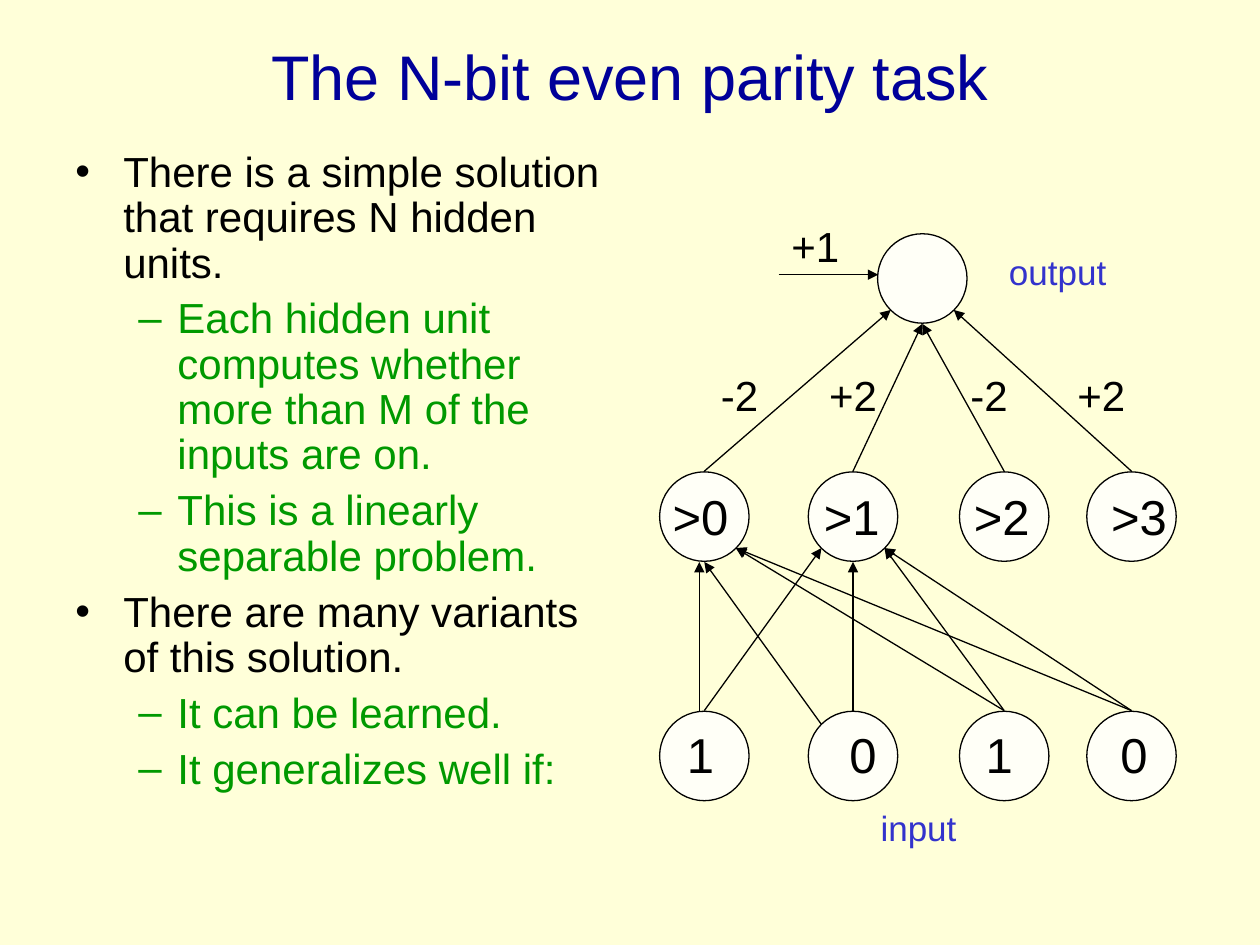
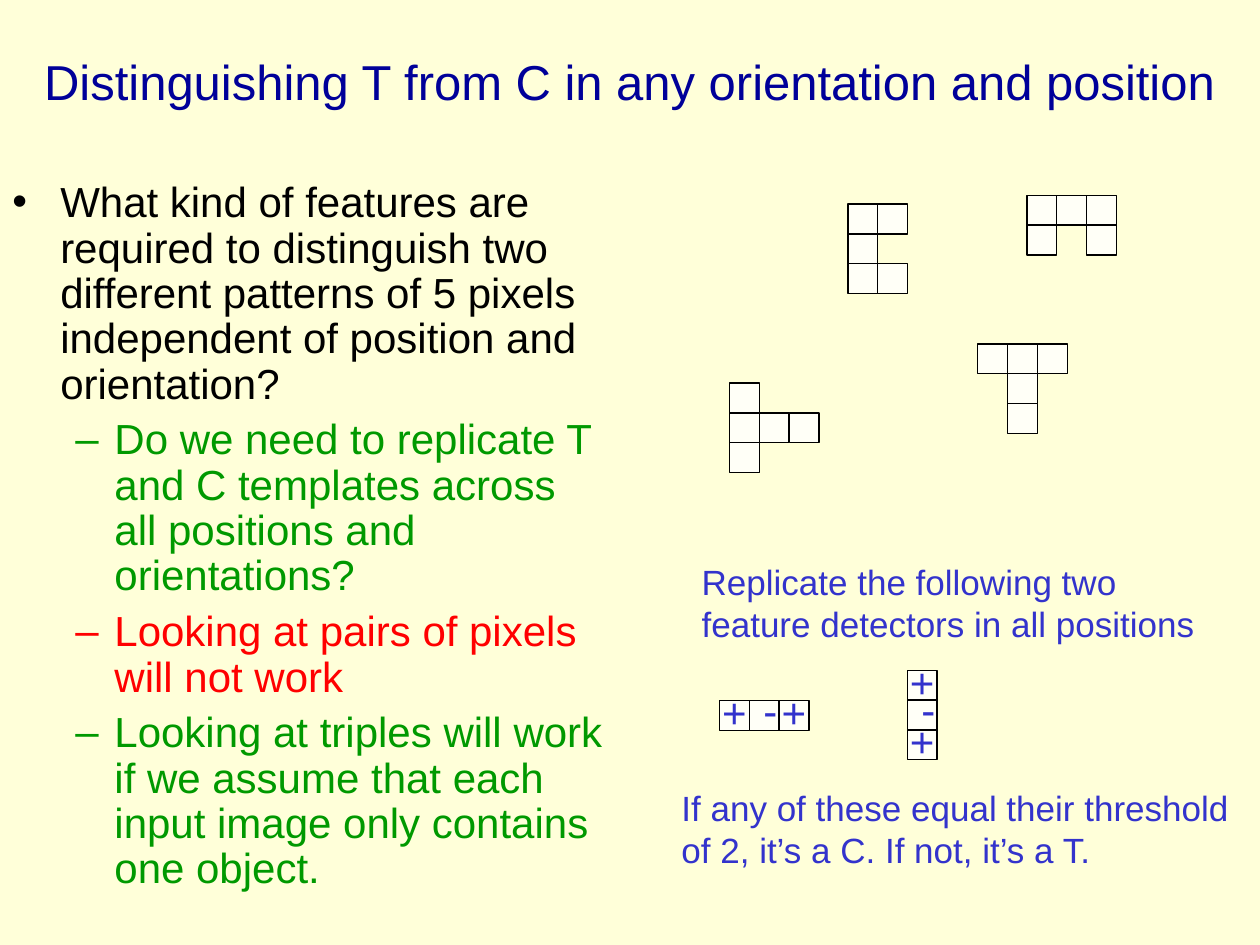
from dataclasses import dataclass

from lxml.etree import SubElement
from pptx import Presentation
from pptx.dml.color import RGBColor
from pptx.enum.shapes import MSO_CONNECTOR, MSO_SHAPE
from pptx.enum.text import MSO_ANCHOR, MSO_AUTO_SIZE, PP_ALIGN
from pptx.oxml.ns import qn
from pptx.util import Inches, Pt


@dataclass(frozen=True)
class Theme:
    font: str = "Arial"
    back: str = "FFFFD9"
    cell: str = "FFFFF7"
    ink: str = "000000"
    title: str = "000099"
    sub: str = "009900"
    alert: str = "FF0000"
    note: str = "3333CC"
    large: int = 36
    mid: int = 28
    body: int = 24
    small: int = 20
    rule: float = 0.75


THEME = Theme()

PARITY = {
    "title": "The N-bit even parity task",
    "spot": (0.5, -0.03, 9, 1.25),
    "size": THEME.large,
    "area": (0.5, 1.15, 4.42, 5.55),
    "points": [
        (0, "There is a simple solution that requires N hidden units.", THEME.ink),
        (1, "Each hidden unit computes whether more than M of the inputs are on.", THEME.sub),
        (1, "This is a linearly separable problem.", THEME.sub),
        (0, "There are many variants of this solution.", THEME.ink),
        (1, "It can be learned.", THEME.sub),
        (1, "It generalizes well if:", THEME.sub),
    ],
}
SHAPES = {
    "title": "Distinguishing T from C in any orientation and position",
    "spot": (-0.05, 0.3, 10.09, 0.69),
    "size": THEME.mid,
    "area": (0, 1.39, 4.92, 6.11),
    "points": [
        (0, "What kind of features are required to distinguish two different patterns "
            "of 5 pixels independent of position and orientation?", THEME.ink),
        (1, "Do we need to replicate T and C templates across all positions "
            "and orientations?", THEME.sub),
        (1, "Looking at pairs of pixels will not work", THEME.alert),
        (1, "Looking at triples will work if we assume that each input image "
            "only contains one object.", THEME.sub),
    ],
}
BULLETS = [("•", 0.38, -0.38), ("–", 0.81, -0.31)]

UNIT = 0.71
COLUMNS = [5.59, 6.77, 7.97, 8.98]
HIDDEN, INPUT, OUTPUT = 4.1, 6.0, (7.32, 2.21)
PORTS = {
    "top": (0, -0.36), "low": (0, 0.36),
    "top left": (-0.04, -0.36), "low left": (-0.04, 0.36),
    "nw": (-0.25, -0.25), "sw": (-0.25, 0.25), "se": (0.25, 0.25),
}
FEEDS = [
    (0, "top left", 0, "low left"), (1, "nw", 0, "low"),
    (2, "top", 0, "se"), (3, "top", 0, "se"),
    (0, "top", 1, "sw"), (1, "top", 1, "low"),
    (2, "top", 1, "se"), (3, "top", 1, "se"),
]
VOTES = ["sw", "low", "low", "se"]
LABELS = [
    (THEME.mid, 3.81, [(">0", 5.56), (">1", 6.76), (">2", 7.95), (">3", 9.04)]),
    (THEME.body, 2.88, [("-2", 5.87), ("+2", 6.77), ("-2", 7.85), ("+2", 8.74)]),
    (THEME.body, 1.7, [("+1", 6.47)]),
    (THEME.mid, 5.7, [("1", 5.56), ("0", 6.85), ("1", 7.93), ("0", 9.0)]),
]
NAMES = [("output", 7.91, 1.94), ("input", 6.89, 6.35)]

STEP = UNIT / 3
GLYPHS = [
    (6.73, 1.62, ["##", "#.", "##"]),
    (8.15, 1.55, ["###", "#.#"]),
    (7.76, 2.73, ["###", ".#.", ".#."]),
    (5.79, 3.04, ["#..", "###", "#.."]),
    (5.71, 5.56, ["+-+"]),
    (7.2, 5.32, ["+", "-", "+"]),
]
SIGNS = {"+": (0, -0.16), "-": (0.05, -0.18)}
NOTES = [
    ("Replicate the following two feature detectors in all positions", 5.47, 4.4, 4.18),
    ("If any of these equal their threshold of 2, it’s a C. If not, it’s a T.", 5.31, 6.19, 4.71),
]


def tint(code):
    return RGBColor.from_string(code)


def box(area):
    return [Inches(v) for v in area]


def write(par, words, size=THEME.body, color=THEME.ink, align=PP_ALIGN.LEFT):
    run = par.add_run()
    run.text = words
    run.font.name, run.font.size = THEME.font, Pt(size)
    run.font.color.rgb = tint(color)
    par.alignment = align


def panel(slide, area):
    frame = slide.shapes.add_textbox(*box(area)).text_frame
    frame.word_wrap = True
    return frame


def label(slide, words, area, **style):
    write(panel(slide, area).paragraphs[0], words, **style)


def block(slide, kind, area):
    shape = slide.shapes.add_shape(kind, *box(area))
    shape.shadow.inherit = False
    shape.fill.solid()
    shape.fill.fore_color.rgb = tint(THEME.cell)
    shape.line.color.rgb = tint(THEME.ink)
    shape.line.width = Pt(THEME.rule)


def arrow(slide, start, end):
    link = slide.shapes.add_connector(MSO_CONNECTOR.STRAIGHT, *box(start + end))
    link.line.color.rgb = tint(THEME.ink)
    link.line.width = Pt(THEME.rule)
    props = link.element.spPr
    SubElement(props.find(qn("a:ln")), qn("a:tailEnd"), type="triangle")
    SubElement(props, qn("a:effectLst"))


def port(mid, name):
    return tuple(a + b for a, b in zip(mid, PORTS[name]))


def start(deck, data):
    slide = deck.slides.add_slide(deck.slide_layouts[5])
    title = slide.shapes.title
    title.left, title.top, title.width, title.height = box(data["spot"])
    frame = title.text_frame
    frame.auto_size = MSO_AUTO_SIZE.NONE
    frame.vertical_anchor = MSO_ANCHOR.MIDDLE
    write(frame.paragraphs[0], data["title"], size=data["size"],
          color=THEME.title, align=PP_ALIGN.CENTER)
    frame = panel(slide, data["area"])
    for i, (level, words, color) in enumerate(data["points"]):
        par = frame.add_paragraph() if i else frame.paragraphs[0]
        write(par, words, color=color)
        par.level, par.line_spacing, par.space_before = level, 0.9, Pt(6)
        mark, left, hang = BULLETS[level]
        props = par._p.get_or_add_pPr()
        props.set("marL", str(Inches(left)))
        props.set("indent", str(Inches(hang)))
        SubElement(props, qn("a:buFont"), typeface=THEME.font)
        SubElement(props, qn("a:buChar"), char=mark)
    return slide


def parity(deck):
    slide = start(deck, PARITY)
    units = [(x, y) for y in (HIDDEN, INPUT) for x in COLUMNS] + [OUTPUT]
    for x, y in units:
        block(slide, MSO_SHAPE.OVAL, (x - UNIT / 2, y - UNIT / 2, UNIT, UNIT))
    for src, out, dest, into in FEEDS:
        arrow(slide, port((COLUMNS[src], INPUT), out), port((COLUMNS[dest], HIDDEN), into))
    for x, into in zip(COLUMNS, VOTES):
        arrow(slide, port((x, HIDDEN), "top"), port(OUTPUT, into))
    arrow(slide, (6.18, 2.18), (6.97, 2.18))
    for size, top, row in LABELS:
        for words, mid in row:
            label(slide, words, (mid - 0.4, top, 0.8, 0.5), size=size, align=PP_ALIGN.CENTER)
    for words, left, top in NAMES:
        label(slide, words, (left, top, 1.1, 0.44), size=THEME.small, color=THEME.note)


def glyphs(deck):
    slide = start(deck, SHAPES)
    for left, top, rows in GLYPHS:
        cells = [(left + c * STEP, top + r * STEP, sign)
                 for r, row in enumerate(rows) for c, sign in enumerate(row) if sign != "."]
        for x, y, sign in cells:
            block(slide, MSO_SHAPE.RECTANGLE, (x, y, STEP, STEP))
        for x, y, sign in cells:
            if sign in SIGNS:
                dx, dy = SIGNS[sign]
                label(slide, sign, (x + STEP / 2 + dx - 0.2, y + dy, 0.4, 0.5),
                      color=THEME.note, align=PP_ALIGN.CENTER)
    for words, left, top, width in NOTES:
        label(slide, words, (left, top, width, 0.77), size=THEME.small, color=THEME.note)


def main():
    deck = Presentation()
    deck.slide_width, deck.slide_height = Inches(10), Inches(7.5)
    fill = deck.slide_master.background.fill
    fill.solid()
    fill.fore_color.rgb = tint(THEME.back)
    parity(deck)
    glyphs(deck)
    deck.save("out.pptx")


if __name__ == "__main__":
    main()
